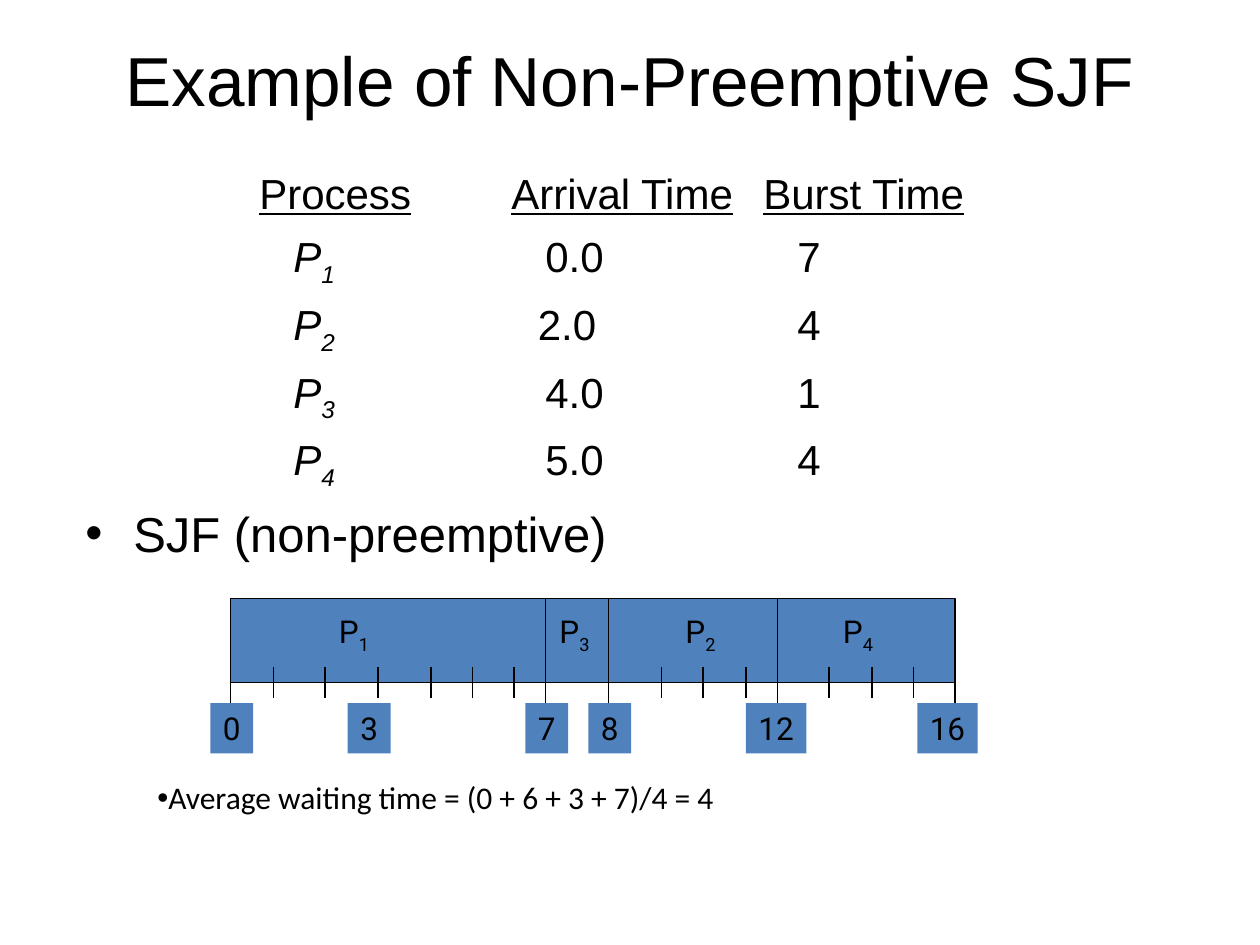
from pptx import Presentation
from pptx.dml.color import RGBColor
from pptx.enum.shapes import MSO_CONNECTOR as Link, MSO_SHAPE as Shape
from pptx.enum.text import MSO_ANCHOR as Anchor, PP_ALIGN as Align
from pptx.oxml.ns import qn
from pptx.util import Inches, Pt
from lxml.etree import SubElement as Sub

BLACK = RGBColor(0x00, 0x00, 0x00)
BLUE = RGBColor(0x4F, 0x81, 0xBD)


class Page:
    """Holds the current slide and draws its elements in one style."""

    def __init__(self, slide):
        """Keep the slide to draw on."""
        self.slide = slide

    def style(self, para, size, font):
        """Set the font of a whole paragraph."""
        para.font.size, para.font.name = Pt(size), font
        para.font.color.rgb = BLACK

    def text(self, x, y, w, h, anchor=Anchor.TOP):
        """Add a wrapping text box and return its frame."""
        frame = self.slide.shapes.add_textbox(*map(Inches, (x, y, w, h))).text_frame
        frame.word_wrap, frame.vertical_anchor = True, anchor
        return frame

    def run(self, para, text, sub=False):
        """Add a run, lowered if it is a subscript."""
        run = para.add_run()
        run.text = text
        if sub:
            run.font._element.set("baseline", "-25000")
        return run

    def bullet(self, para, indent=0):
        """Give a paragraph a round bullet with a hanging indent."""
        props = para._p.get_or_add_pPr()
        props.set("marL", str(Inches(indent)))
        props.set("indent", str(-Inches(indent)))
        Sub(props, qn("a:buFont")).set("typeface", "Arial")
        Sub(props, qn("a:buChar")).set("char", "•")

    def tabs(self, para, stops):
        """Set left tab stops on a paragraph."""
        group = Sub(para._p.get_or_add_pPr(), qn("a:tabLst"))
        for stop in stops:
            tab = Sub(group, qn("a:tab"))
            tab.set("pos", str(Inches(stop)))
            tab.set("algn", "l")

    def rect(self, x, y, w, h, edge=False):
        """Add a blue rectangle, with a thin black edge on request."""
        box = self.slide.shapes.add_shape(Shape.RECTANGLE, *map(Inches, (x, y, w, h)))
        box.shadow.inherit = False
        box.fill.solid()
        box.fill.fore_color.rgb = BLUE
        if edge:
            box.line.color.rgb, box.line.width = BLACK, Pt(0.75)
        else:
            box.line.fill.background()
        return box

    def label(self, mid, y, w, text, sub=""):
        """Add a small blue box with centred text around mid."""
        frame = self.rect(mid - w / 2, y, w, 0.4).text_frame
        frame.word_wrap, frame.vertical_anchor = False, Anchor.MIDDLE
        para = frame.paragraphs[0]
        para.alignment = Align.CENTER
        self.style(para, 18, "Roboto")
        self.run(para, text)
        if sub:
            self.run(para, sub, True)

    def line(self, x, top, end):
        """Add a thin vertical line."""
        link = self.slide.shapes.add_connector(
            Link.STRAIGHT, *map(Inches, (x, top, x, end)))
        link.line.color.rgb, link.line.width = BLACK, Pt(0.75)
        Sub(link._element.spPr, qn("a:effectLst"))


deck = Presentation()
deck.slide_width, deck.slide_height = Inches(10), Inches(7.5)
page = Page(deck.slides.add_slide(deck.slide_layouts[6]))

title = page.text(0.75, 0, 8.5, 1.25, Anchor.MIDDLE).paragraphs[0]
title.alignment = Align.CENTER
page.style(title, 39.6, "Arial")
page.run(title, "Example of Non-Preemptive SJF")

body = page.text(0.58, 1.17, 8.5, 4.5)
head = body.paragraphs[0]
page.style(head, 24, "Arial")
head.space_before = Pt(3.4)
page.tabs(head, (1.38, 3.38, 5.38))
for name in ("Process", "Arrival Time", "Burst Time"):
    gap = page.run(head, "\t")
    if name == "Process":
        gap.font.size = Pt(32)
    page.run(head, name).font.underline = True

TIMES = (("1", "0.0", "7"), ("2", "2.0", "4"), ("3", "4.0", "1"), ("4", "5.0", "4"))
for num, start, burst in TIMES:
    row = body.add_paragraph()
    page.style(row, 24, "Arial")
    row.space_before = Pt(5.8)
    page.tabs(row, (1.65, 3.59 if num == "2" else 3.65, 5.65))
    page.run(row, "\t")
    page.run(row, "P").font.italic = True
    page.run(row, num, True).font.italic = True
    page.run(row, f"\t{start}\t{burst}")

item = body.add_paragraph()
page.style(item, 28, "Arial")
item.space_before = Pt(7)
page.bullet(item, 0.38)
page.run(item, "SJF (non-preemptive)")

BAR, BASE = 4.75, 5.42
EDGES = (1.83, 4.33, 4.83, 6.17, 7.58)
TICKS = (2.17, 2.58, 3, 3.42, 3.75, 4.08, 5.25, 5.58, 5.92, 6.58, 6.92, 7.25)
page.rect(EDGES[0], BAR, EDGES[-1] - EDGES[0], BASE - BAR, edge=True)
for num, mid in (("1", 2.81), ("3", 4.56), ("2", 5.56), ("4", 6.81)):
    page.label(mid, 4.83, 0.46, "P", num)
for x in EDGES:
    page.line(x, BAR, 5.67)
for x in TICKS:
    page.line(x, 5.29, 5.54)
MARKS = (("0", 1.84), ("3", 2.93), ("7", 4.34), ("8", 4.84), ("12", 6.16), ("16", 7.52))
for time, mid in MARKS:
    page.label(mid, 5.58, 0.34 if len(time) == 1 else 0.48, time)

mean = page.text(1.15, 6.16, 6.29, 0.46).paragraphs[0]
page.style(mean, 18, "Calibri")
mean.line_spacing = 0.9
page.bullet(mean)
page.run(mean, "Average waiting time = (0 + 6 + 3 + 7)/4 = 4")

deck.save("out.pptx")
